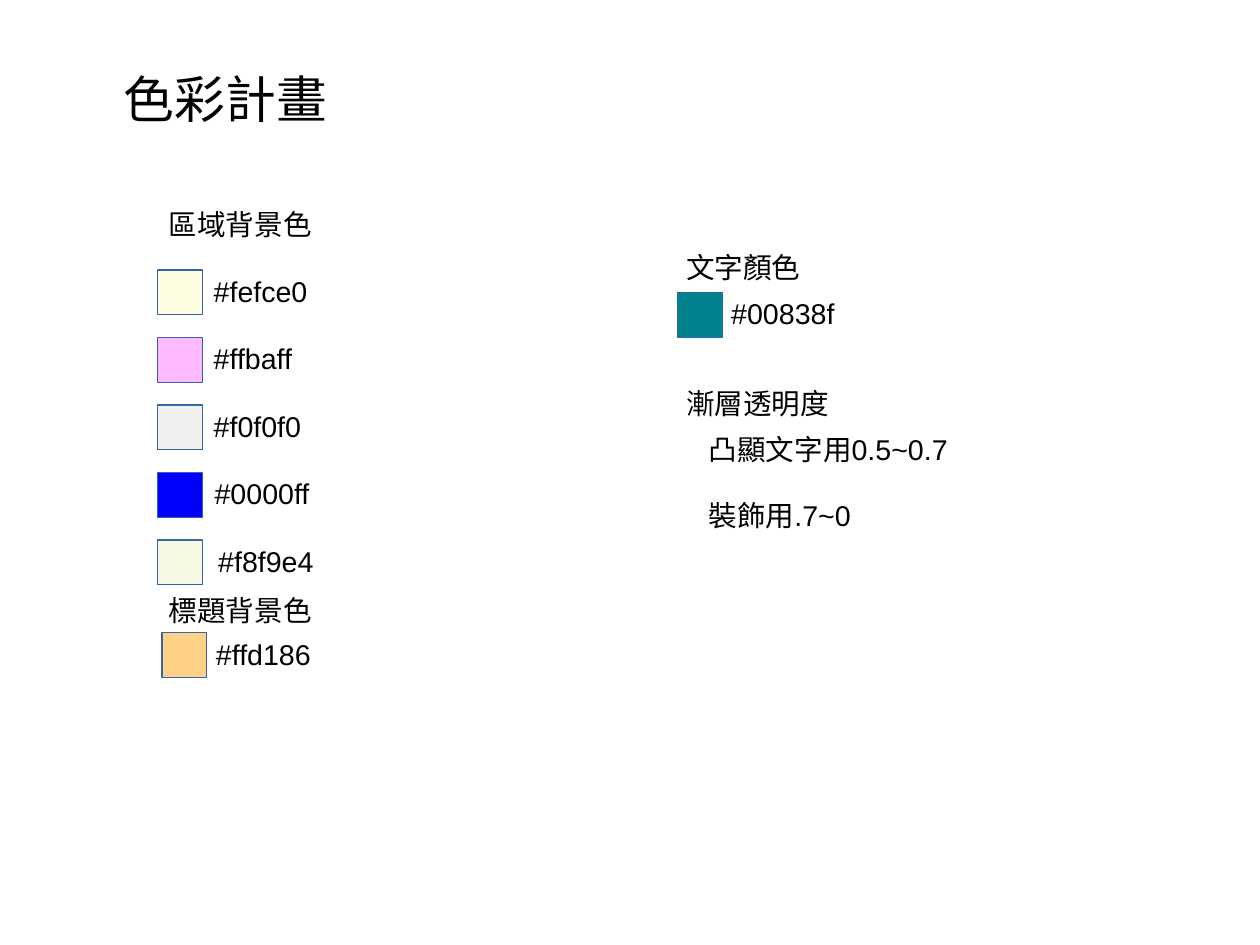
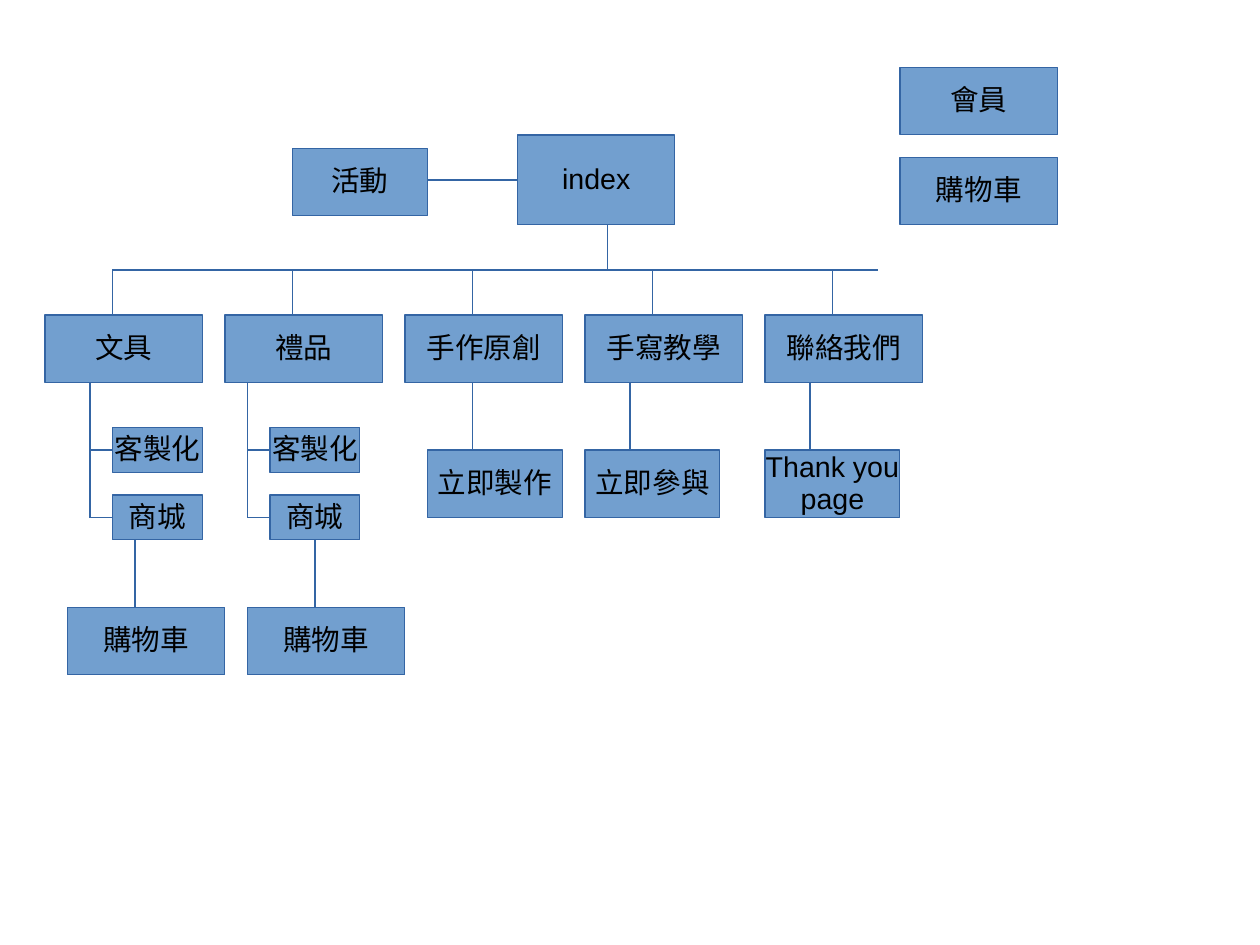
from dataclasses import dataclass

from lxml.etree import SubElement
from pptx import Presentation
from pptx.dml.color import RGBColor
from pptx.enum.shapes import MSO_CONNECTOR, MSO_SHAPE
from pptx.enum.text import MSO_ANCHOR, PP_ALIGN
from pptx.oxml.ns import qn
from pptx.slide import Slide
from pptx.text.text import TextFrame
from pptx.util import Inches, Length, Pt

COLORS = {"text": "000000", "line": "3465A4", "box": "729FCF"}
FONT = "Arial"
BODY = 18
TITLE = 32
EDGE = 0.75

# All places and lengths below are in centimetres.
PAGE_W, PAGE_H = 28, 21
SIDE = 1         # swatch side
ROW = 1.5        # swatch pitch
WIDE, HIGH = 3.5, 1.5
SLIM = 3         # width of a narrow box
SUB_W, SUB_H = 2, 1
LEFT, PITCH = 1, 4
RAIL, TOP = 6, 7
LEAF_TOP, CART_TOP = 10, 13.5
SUB_TOPS = {"客製化": 9.5, "商城": 11}


@dataclass
class Swatch:
    code: str
    x: float
    y: float
    label_x: float


@dataclass
class Note:
    text: str
    x: float
    y: float
    width: float = 5.5
    height: float = 0.96
    size: int = BODY


@dataclass
class Box:
    text: str
    x: float
    y: float
    width: float = WIDE
    height: float = HIGH


@dataclass
class Branch:
    """A menu column; stem and child are offsets from its left edge."""
    name: str
    stem: float
    child: float
    leaf: str = ""
    shop: bool = False


SWATCHES = [
    Swatch(code, 3.5, 6 + i * ROW, label_x)
    for i, (code, label_x) in enumerate([
        ("fefce0", 4.5), ("ffbaff", 4.5), ("f0f0f0", 4.5),
        ("0000ff", 4.52), ("f8f9e4", 4.6)])
] + [Swatch("ffd186", 3.6, 14.06, 4.55), Swatch("00838f", 15.05, 6.5, 16)]

NOTES = [
    Note("色彩計畫", 2.5, 1.5, 20.5, 2, TITLE),
    Note("區域背景色", 3.5, 4.54),
    Note("標題背景色", 3.5, 13.12),
    Note("文字顏色", 15, 5.5),
    Note("漸層透明度", 15, 8.53),
    Note("凸顯文字用0.5~0.7", 15.5, 9.54, 6),
    Note("裝飾用.7~0", 15.5, 11, 6),
]

HEADS = [
    Box("index", 11.5, 3, height=2),
    Box("活動", 6.5, 3.3, SLIM),
    Box("會員", 20, 1.5),
    Box("購物車", 20, 3.5),
]

BRANCHES = [
    Branch("文具", 1, 1.5, shop=True),
    Branch("禮品", 0.5, 1, shop=True),
    Branch("手作原創", 1.5, 0.5, "立即製作"),
    Branch("手寫教學", 1, 0, "立即參與"),
    Branch("聯絡我們", 1, 0, "Thank you\npage"),
]


def metric(size: float) -> Length:
    """Turn centimetres into a length."""
    return Inches(size / 2.54)


def style(frame: TextFrame, size: int, align: PP_ALIGN) -> None:
    for para in frame.paragraphs:
        para.alignment = align
        para.line_spacing = 0.93
        for run in para.runs:
            run.font.name = FONT
            run.font.size = Pt(size)
            run.font.color.rgb = RGBColor.from_string(COLORS["text"])


def add_rect(slide: Slide, box: Box, fill: str = COLORS["box"]) -> None:
    shape = slide.shapes.add_shape(
        MSO_SHAPE.RECTANGLE, metric(box.x), metric(box.y),
        metric(box.width), metric(box.height))
    shape.shadow.inherit = False
    shape.fill.solid()
    shape.fill.fore_color.rgb = RGBColor.from_string(fill)
    shape.line.color.rgb = RGBColor.from_string(COLORS["line"])
    shape.line.width = Pt(EDGE)
    if box.text:
        frame = shape.text_frame
        frame.text = box.text
        frame.word_wrap = False
        frame.vertical_anchor = MSO_ANCHOR.MIDDLE
        style(frame, BODY, PP_ALIGN.CENTER)


def add_note(slide: Slide, note: Note) -> None:
    frame = slide.shapes.add_textbox(
        metric(note.x), metric(note.y),
        metric(note.width), metric(note.height)).text_frame
    frame.word_wrap = True
    frame.text = note.text
    style(frame, note.size, PP_ALIGN.LEFT)


def add_line(slide: Slide, x1: float, y1: float, x2: float, y2: float) -> None:
    line = slide.shapes.add_connector(
        MSO_CONNECTOR.STRAIGHT, metric(x1), metric(y1), metric(x2), metric(y2))
    line.line.color.rgb = RGBColor.from_string(COLORS["line"])
    line.line.width = Pt(EDGE)
    SubElement(line._element.spPr, qn("a:effectLst"))


def add_shop(slide: Slide, left: float, branch: Branch) -> None:
    """Draw the two sub-pages of a shop branch and its cart."""
    stem, child = left + branch.stem, left + branch.child
    for text, top in SUB_TOPS.items():
        mid = top + SUB_H / 2
        add_line(slide, stem, mid, child, mid)
        add_rect(slide, Box(text, child, top, SUB_W, SUB_H))
    add_line(slide, stem, TOP + HIGH, stem, mid)
    add_line(slide, left + 2, top + SUB_H, left + 2, CART_TOP)
    add_rect(slide, Box("購物車", left + 0.5, CART_TOP))


def add_branch(slide: Slide, left: float, branch: Branch) -> None:
    add_line(slide, left + 1.5, RAIL, left + 1.5, TOP)
    add_rect(slide, Box(branch.name, left, TOP))
    if branch.shop:
        add_shop(slide, left, branch)
    else:
        stem = left + branch.stem
        add_line(slide, stem, TOP + HIGH, stem, LEAF_TOP)
        add_rect(slide, Box(branch.leaf, left + branch.child, LEAF_TOP, SLIM))


def draw_colors(slide: Slide) -> None:
    for note in NOTES:
        add_note(slide, note)
    for item in SWATCHES:
        add_rect(slide, Box("", item.x, item.y, SIDE, SIDE), item.code.upper())
        add_note(slide, Note(f"#{item.code}", item.label_x, item.y + 0.03))


def draw_map(slide: Slide) -> None:
    for head in HEADS:
        add_rect(slide, head)
    add_line(slide, 11.5, 4, 9.5, 4)
    add_line(slide, 13.5, 5, 13.5, RAIL)
    add_line(slide, 2.5, RAIL, 19.5, RAIL)
    for i, branch in enumerate(BRANCHES):
        add_branch(slide, LEFT + i * PITCH, branch)


def main() -> None:
    deck = Presentation()
    deck.slide_width, deck.slide_height = metric(PAGE_W), metric(PAGE_H)
    blank = deck.slide_layouts[6]
    for draw in (draw_colors, draw_map):
        draw(deck.slides.add_slide(blank))
    deck.save("out.pptx")


if __name__ == "__main__":
    main()
